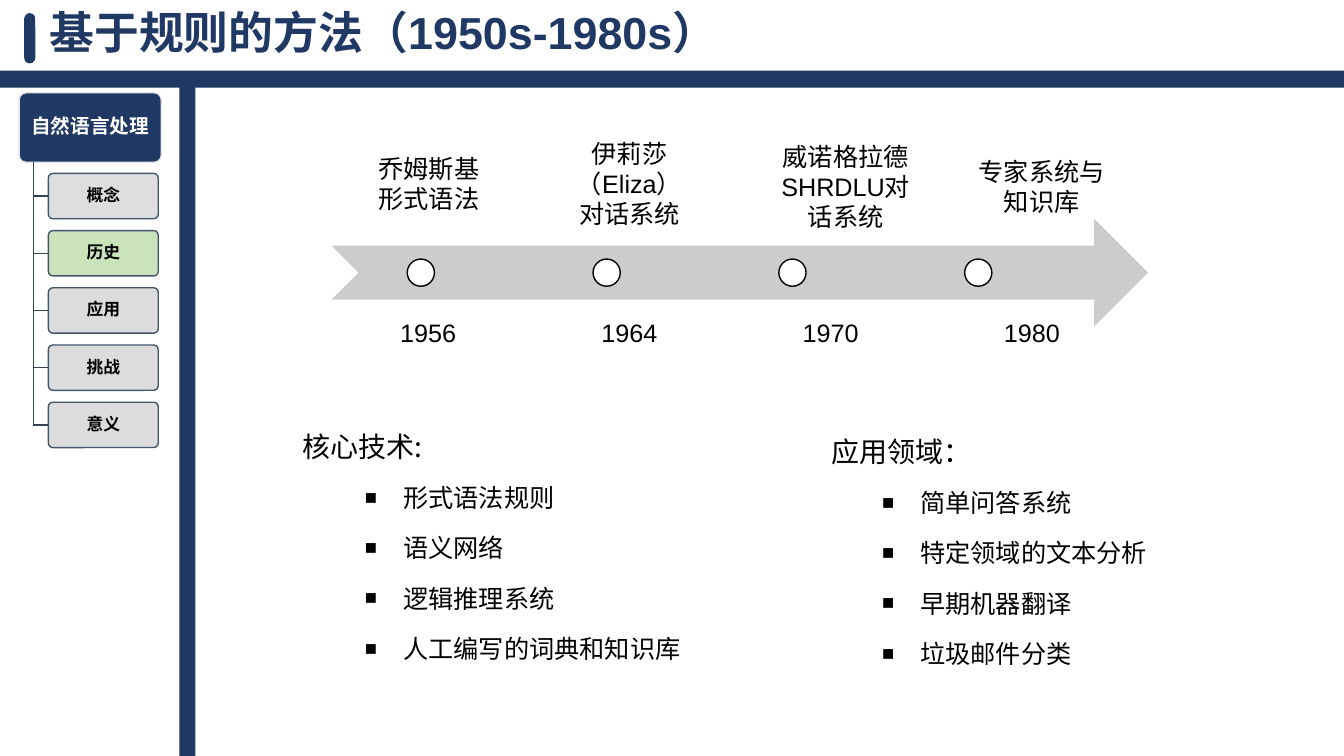
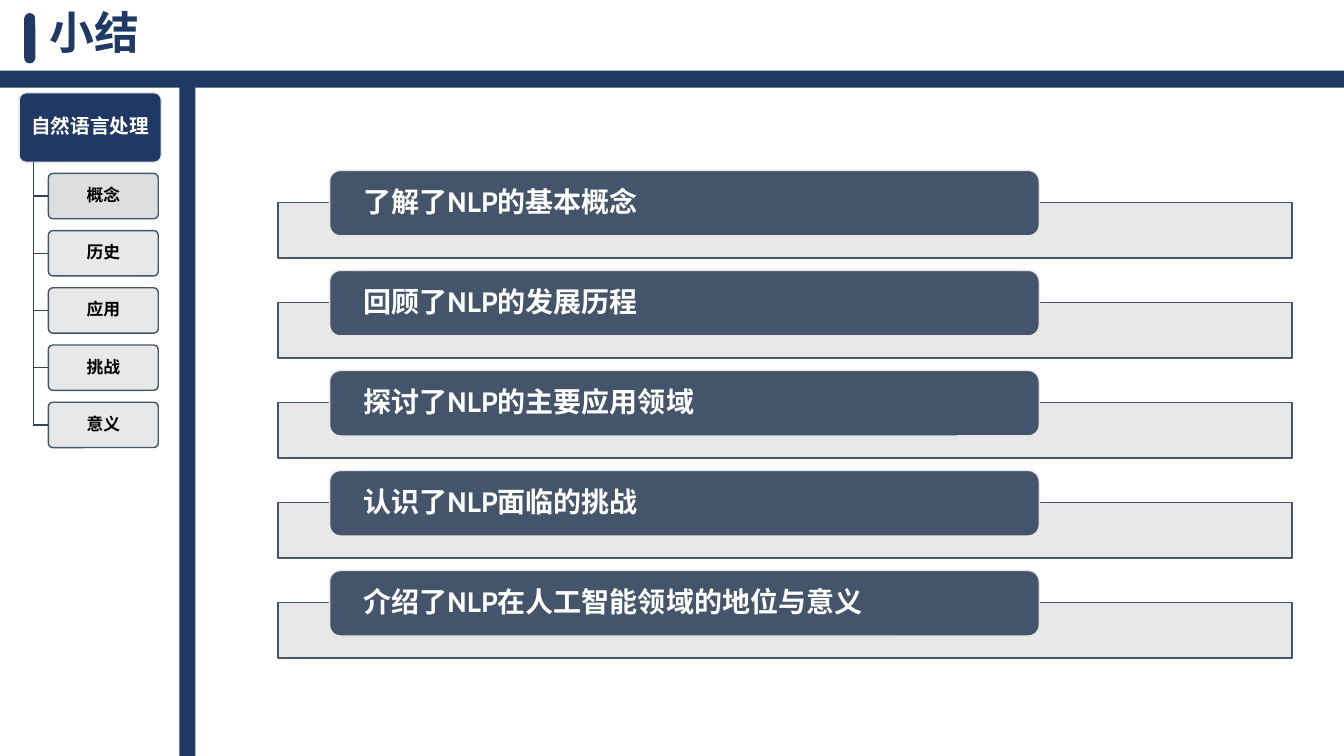
"""Build two lecture slides on natural language processing."""
import dataclasses

import lxml.etree
import pptx
import pptx.dml.color
import pptx.enum.shapes
import pptx.enum.text
import pptx.oxml.ns
import pptx.util

CELL = pptx.util.Inches(0.1)
NAVY, SLATE, TRUNK = "203864", "44546A", "364355"
WHITE, BLACK, PALE, GREEN = "FFFFFF", "000000", "E7E6E6", "C5E0B4"
SHAPES = pptx.enum.shapes.MSO_SHAPE
ALIGN = pptx.enum.text.PP_ALIGN
ANCHOR = pptx.enum.text.MSO_ANCHOR


@dataclasses.dataclass
class Box:
    """A rectangle measured in grid cells."""
    left: float
    top: float
    width: float
    height: float

    def inner(self, left, top, width, height):
        """Return a box placed relative to this one."""
        return Box(self.left + left, self.top + top, width, height)

    def columns(self, count, width):
        """Return equally spaced columns that span this box."""
        step = (self.width - width) / (count - 1)
        return [self.inner(step * index, 0, width, self.height) for index in range(count)]

    def rows(self, count, height):
        """Return equally spaced rows that span this box."""
        step = (self.height - height) / (count - 1)
        return [self.inner(0, step * index, self.width, height) for index in range(count)]

    def lengths(self):
        """Return left, top, width and height as slide lengths."""
        return [cells(value) for value in dataclasses.astuple(self)]


SLIDE = Box(0, 0, 133.33, 75)
TITLE = Box(3.9, 1, 115, 5)
SIDEBAR = Box(1.9, 9.2, 14.1, 35.2)
TIMELINE = Box(32.9, 13.7, 81, 20.8)
SUMMARY = Box(27.6, 16.9, 100.6, 48.4)
TOPICS = ["概念", "历史", "应用", "挑战", "意义"]
EVENTS = [
    ("1956", ["乔姆斯基", "形式语法"], 3, 1.5),
    ("1964", ["伊莉莎（Eliza）", "对话系统"], 22.9, 0),
    ("1970", ["威诺格拉德SHRDLU对话系统"], 44.35, 0.3),
    ("1980", ["专家系统与", "知识库"], 63.8, 1.8),
]
LISTS = [
    (Box(30, 40.9, 40, 24.4), 1, "核心技术:",
     ["形式语法规则", "语义网络", "逻辑推理系统", "人工编写的词典和知识库"]),
    (Box(82.5, 41.4, 41.6, 24.4), 0.88, "应用领域：",
     ["简单问答系统", "特定领域的文本分析", "早期机器翻译", "垃圾邮件分类"]),
]
POINTS = ["了解了NLP的基本概念", "回顾了NLP的发展历程", "探讨了NLP的主要应用领域",
          "认识了NLP面临的挑战", "介绍了NLP在人工智能领域的地位与意义"]


def cells(value):
    """Convert grid cells to a slide length."""
    return pptx.util.Emu(round(value * CELL))


def color(value):
    """Convert a hex string to a colour."""
    return pptx.dml.color.RGBColor.from_string(value)


def add_element(parent, tag, **attributes):
    """Append a drawing element with its attributes."""
    return lxml.etree.SubElement(parent, pptx.oxml.ns.qn(tag), attributes)


def set_font(paragraph, size, fill, name="Arial", bold=False):
    """Format all the text of a paragraph."""
    font = paragraph.font
    font.size, font.name, font.bold = pptx.util.Pt(size), name, bold
    font.color.rgb = color(fill)


def set_frame(frame, anchor=ANCHOR.TOP, side=0, wrap=True):
    """Set the anchor, side margins and wrapping of a text frame."""
    frame.auto_size = pptx.enum.text.MSO_AUTO_SIZE.NONE
    frame.vertical_anchor, frame.word_wrap = anchor, wrap
    frame.margin_left = frame.margin_right = cells(side)
    frame.margin_top = frame.margin_bottom = 0


def place(shape, box):
    """Move and size a shape to a box."""
    shape.left, shape.top, shape.width, shape.height = box.lengths()


def add_block(slide, kind, box, fill, line=None, opacity=None, corner=None):
    """Draw a flat preset shape."""
    shape = slide.shapes.add_shape(kind, *box.lengths())
    shape.shadow.inherit = False
    shape.fill.solid()
    shape.fill.fore_color.rgb = color(fill)
    if opacity:
        fill_color = shape.element.spPr.find(".//" + pptx.oxml.ns.qn("a:srgbClr"))
        add_element(fill_color, "a:alpha", val=str(opacity * 1000))
    if line:
        shape.line.color.rgb = color(line)
        shape.line.width = pptx.util.Pt(1)
    else:
        shape.line.fill.background()
    if corner is not None:
        shape.adjustments[0] = corner
    return shape


def write_block(shape, text, size, fill, name="Arial", align=ALIGN.CENTER, side=0.3):
    """Write one bold line in the middle of a shape."""
    set_frame(shape.text_frame, ANCHOR.MIDDLE, side)
    paragraph = shape.text_frame.paragraphs[0]
    paragraph.text, paragraph.alignment, paragraph.line_spacing = text, align, 0.9
    set_font(paragraph, size, fill, name, True)


def add_label(slide, box, lines, align=ALIGN.CENTER, wrap=True):
    """Add a plain label of one or more paragraphs."""
    frame = slide.shapes.add_textbox(*box.lengths()).text_frame
    set_frame(frame, wrap=wrap)
    frame.text = "\n".join(lines)
    for paragraph in frame.paragraphs:
        paragraph.alignment = align
        set_font(paragraph, 18, BLACK)


def add_line(slide, left, top, right, bottom):
    """Draw a thin line without a shadow."""
    ends = [cells(value) for value in (left, top, right, bottom)]
    line = slide.shapes.add_connector(pptx.enum.shapes.MSO_CONNECTOR.STRAIGHT, *ends)
    line.line.color.rgb = color(TRUNK)
    line.line.width = pptx.util.Pt(1)
    add_element(line.element.spPr, "a:effectLst")
    return line


def move_bands_to_master(presentation, slide):
    """Draw the shared bands and hand them to the slide master."""
    bands = [
        add_block(slide, SHAPES.RECTANGLE, SLIDE.inner(0, 7, SLIDE.width, 1.7), NAVY),
        add_block(slide, SHAPES.RECTANGLE, SLIDE.inner(17.8, 7.5, 1.6, 67.5), NAVY),
        add_block(slide, SHAPES.ROUNDED_RECTANGLE, SLIDE.inner(2.4, 1.3, 1.1, 5), NAVY, corner=0.5),
    ]
    for number, band in enumerate(bands, 100):
        band.element.nvSpPr.cNvPr.set("id", str(number))
        presentation.slide_master.shapes.element.append(band.element)


def add_title(slide, text):
    """Fill and place the title placeholder."""
    title = slide.shapes.title
    place(title, TITLE)
    write_block(title, text, 32, NAVY, align=ALIGN.LEFT, side=1)


def add_sidebar(slide, box, fills):
    """Draw the topic tree with one fill for each topic."""
    root = box.inner(0, 0, box.width, 6.9)
    shape = add_block(slide, SHAPES.ROUNDED_RECTANGLE, root, NAVY, PALE, corner=0.1)
    write_block(shape, "自然语言处理", 14, WHITE)
    nodes = box.inner(2.9, 8, 10.9, box.height - 8).rows(len(TOPICS), 4.5)
    trunk = box.left + 1.4
    add_line(slide, trunk, root.top + root.height, trunk, nodes[-1].top + nodes[-1].height / 2)
    for topic, node, fill in zip(TOPICS, nodes, fills):
        shape = add_block(slide, SHAPES.ROUNDED_RECTANGLE, node, fill, SLATE, 90, 0.1)
        write_block(shape, topic, 12, BLACK)
        middle = node.top + node.height / 2
        add_line(slide, trunk, middle, node.left, middle).end_connect(shape, 1)


def add_timeline(slide, box):
    """Draw the arrow with its dots, years and event labels."""
    add_block(slide, SHAPES.NOTCHED_RIGHT_ARROW, box.inner(0, 8, box.width, 10.7), "CCCCCC")
    dots = box.inner(7.5, 12, 58, 2.7).columns(len(EVENTS), 2.7)
    years = box.inner(6.8, 17.8, 65.5, 3).columns(len(EVENTS), 5.6)
    for (year, lines, left, top), dot, year_box in zip(EVENTS, dots, years):
        add_block(slide, SHAPES.OVAL, dot, WHITE, BLACK)
        add_label(slide, year_box, [year], ALIGN.LEFT, False)
        add_label(slide, box.inner(left, top, 13.3, 9.1), lines)


def add_list(placeholder, box, indent, heading, items):
    """Fill a body placeholder with a heading and square bullets."""
    place(placeholder, box)
    frame = placeholder.text_frame
    set_frame(frame)
    frame.text = "\n".join([heading, *items])
    for index, paragraph in enumerate(frame.paragraphs):
        paragraph.level = 1 if index else 0
        paragraph.line_spacing = 1.5
        paragraph.space_before = pptx.util.Pt(3.4 if index else 0)
        properties = paragraph._p.get_or_add_pPr()
        properties.set("marL", str(pptx.util.Inches(indent) if index else 0))
        properties.set("indent", str(pptx.util.Inches(-0.38) if index else 0))
        if index:
            add_element(properties, "a:buSzPct", val="80000")
            add_element(properties, "a:buFont", typeface="Arial")
            add_element(properties, "a:buChar", char="■")
        else:
            add_element(properties, "a:buNone")
        set_font(paragraph, 18 if index else 20, BLACK, "Noto Sans CJK SC")


def add_summary(slide, box):
    """Draw each point as a dark plate over a pale bar."""
    for text, row in zip(POINTS, box.rows(len(POINTS), 8.7)):
        add_block(slide, SHAPES.RECTANGLE, row.inner(0, 3.2, row.width, 5.5), PALE, SLATE, 90)
        plate = add_block(slide, SHAPES.ROUNDED_RECTANGLE, row.inner(5.1, 0, 70.4, 6.5), SLATE, PALE)
        write_block(plate, text, 20, WHITE, "Cabin", ALIGN.LEFT, 3)


def build_history(presentation):
    """Build the slide on rule-based methods."""
    slide = presentation.slides.add_slide(presentation.slide_layouts[3])
    move_bands_to_master(presentation, slide)
    add_title(slide, "基于规则的方法（1950s-1980s）")
    add_sidebar(slide, SIDEBAR, ["DBDBDB", GREEN] + ["D9D9D9"] * 3)
    add_timeline(slide, TIMELINE)
    for number, content in enumerate(LISTS, 1):
        add_list(slide.placeholders[number], *content)


def build_summary(presentation):
    """Build the closing slide."""
    slide = presentation.slides.add_slide(presentation.slide_layouts[5])
    add_title(slide, "小结")
    add_summary(slide, SUMMARY)
    add_sidebar(slide, SIDEBAR, ["DBDBDB"] + [PALE] * 4)


def main():
    """Create and save the presentation."""
    presentation = pptx.Presentation()
    presentation.slide_width = cells(SLIDE.width)
    presentation.slide_height = cells(SLIDE.height)
    build_history(presentation)
    build_summary(presentation)
    presentation.save("out.pptx")


if __name__ == "__main__":
    main()
